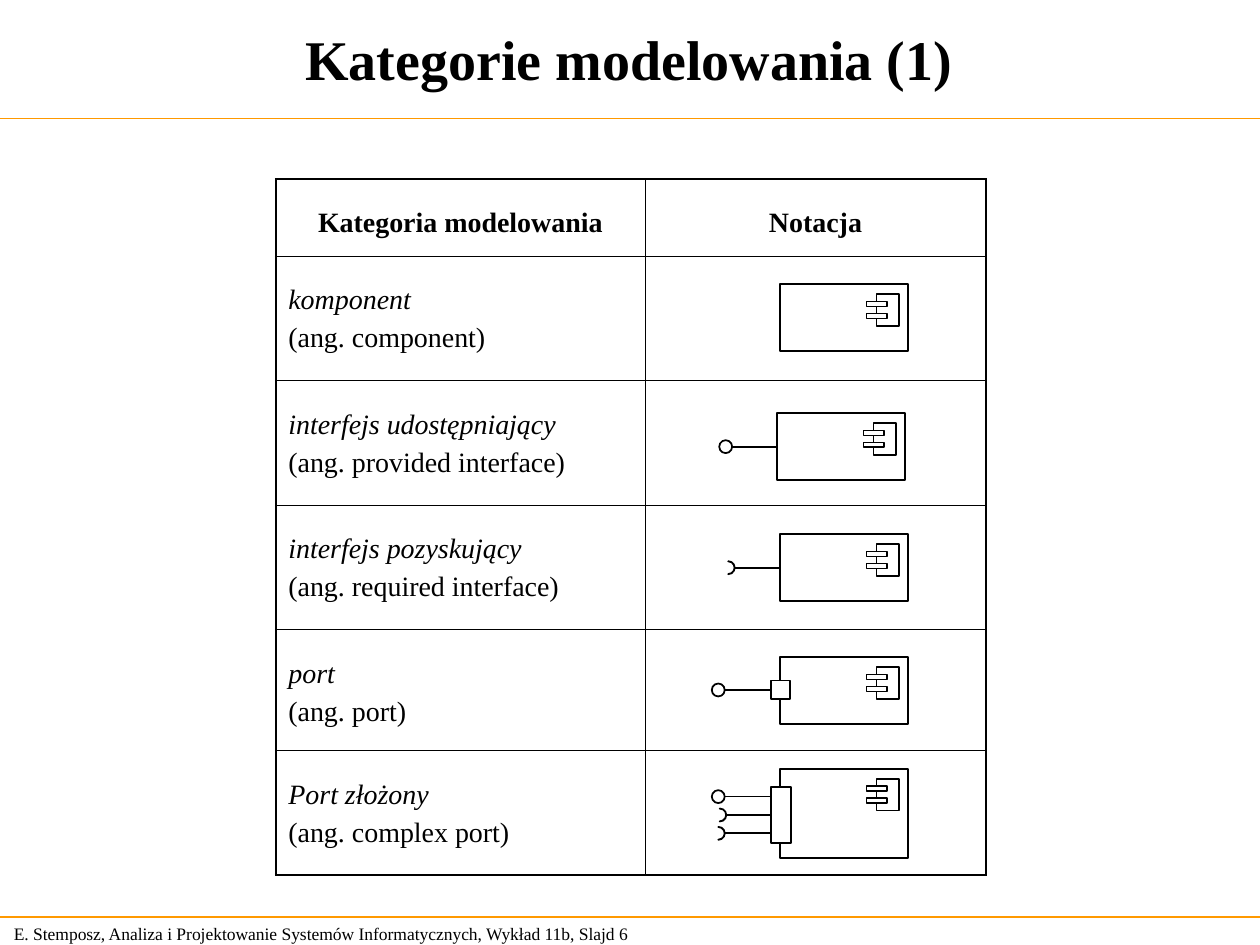
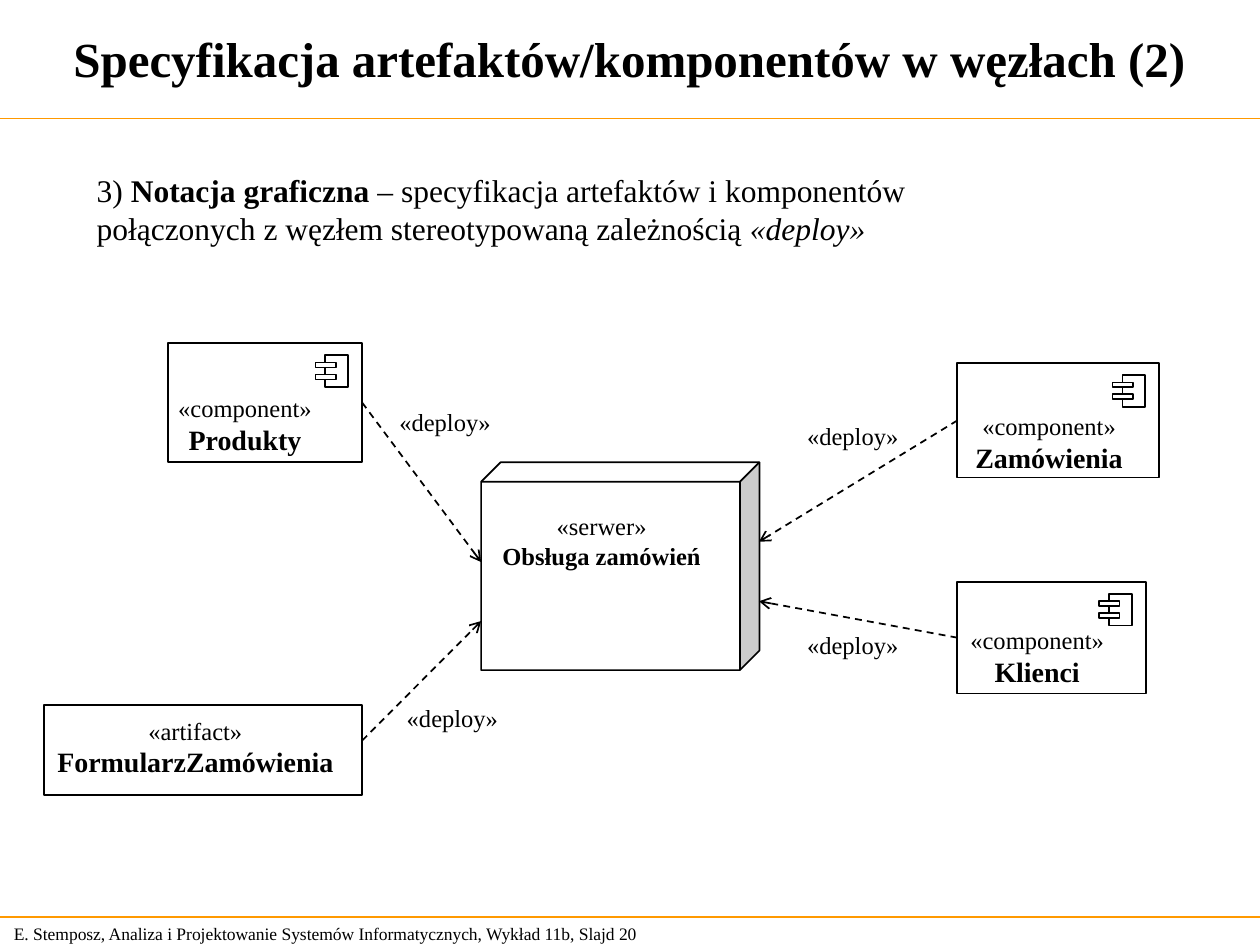
from lxml import etree
from pptx import Presentation
from pptx import util as u
from pptx.dml.color import RGBColor
from pptx.enum import dml, shapes, text
from pptx.oxml.ns import qn

# Shared look
FONT = "Times New Roman"
BLACK, WHITE, ORANGE, GREEN = "000000", "FFFFFF", "FF9900", "00CC99"
PAGE_WIDTH, PAGE_HEIGHT = 25.4, 19.05
RULES = (2.39, 18.48)
FOOTER = "E. Stemposz, Analiza i Projektowanie Systemów Informatycznych, Wykład 11b, Slajd {}"
THIN, THICK = 0.45, 1.08
KNOB = 0.26
SHAPE = shapes.MSO_SHAPE
CENTER = text.PP_ALIGN.CENTER

CATEGORIES = [
    ("komponent", "(ang. component)"),
    ("interfejs udostępniający", "(ang. provided interface)"),
    ("interfejs pozyskujący", "(ang. required interface)"),
    ("port", "(ang. port)"),
    ("Port złożony", "(ang. complex port)"),
]


def color(value):
    return RGBColor.from_string(value)


def style_font(font, size, bold=False, italic=False):
    font.name, font.size = FONT, u.Pt(size)
    font.bold, font.italic = bold, italic
    font.color.rgb = color(BLACK)


# Basic elements
def add_box(page, kind, left, top, width, height, fill=None):
    box = page.shapes.add_shape(kind, u.Cm(left), u.Cm(top), u.Cm(width), u.Cm(height))
    box.shadow.inherit = False
    if fill:
        box.fill.solid()
        box.fill.fore_color.rgb = color(fill)
    else:
        box.fill.background()
    box.line.color.rgb = color(BLACK)
    box.line.width = u.Pt(1)
    return box


def add_line(page, start, end, line_color=BLACK, dashed_arrow=False):
    line = page.shapes.add_connector(
        shapes.MSO_CONNECTOR.STRAIGHT, *(u.Cm(value) for value in (*start, *end)))
    line.line.color.rgb = color(line_color)
    line.line.width = u.Pt(1)
    properties = line._element.spPr
    if dashed_arrow:
        line.line.dash_style = dml.MSO_LINE.DASH
        etree.SubElement(properties.find(qn("a:ln")), qn("a:tailEnd"), type="arrow")
    etree.SubElement(properties, qn("a:effectLst"))
    return line


def add_text(page, left, top, width, height, paragraphs, align=None, wrap=False):
    """Each paragraph is a list of (text, size, bold, italic)."""
    box = page.shapes.add_textbox(u.Cm(left), u.Cm(top), u.Cm(width), u.Cm(height))
    frame = box.text_frame
    frame.word_wrap = wrap
    for index, spans in enumerate(paragraphs):
        para = frame.add_paragraph() if index else frame.paragraphs[0]
        para.alignment = align
        for wording, *look in spans:
            span = para.add_run()
            span.text = wording
            style_font(span.font, *look)
    return box


def add_page(deck, title, title_size, number):
    page = deck.slides.add_slide(deck.slide_layouts[5])
    for rule in RULES:
        add_line(page, (0, rule), (PAGE_WIDTH, rule), ORANGE)
    footer = add_text(page, 0.03, 18.48, 13.31, 0.69,
                      [[(FOOTER.format(number), 10)]], wrap=True)
    footer.text_frame.vertical_anchor = text.MSO_ANCHOR.MIDDLE
    heading = page.shapes.title
    heading.left, heading.top = u.Cm(0), u.Cm(0)
    heading.width, heading.height = u.Cm(25.37), u.Cm(2.34)
    frame = heading.text_frame
    frame.text = title
    frame.vertical_anchor = text.MSO_ANCHOR.MIDDLE
    frame.paragraphs[0].alignment = CENTER
    style_font(frame.paragraphs[0].runs[0].font, title_size, bold=True)
    return page


# Table of categories
def set_borders(cell, widths):
    properties = cell._tc.get_or_add_tcPr()
    for side, width in zip("LRTB", widths):
        border = etree.SubElement(properties, qn(f"a:ln{side}"), w=str(u.Pt(width)))
        fill = etree.SubElement(border, qn("a:solidFill"))
        etree.SubElement(fill, qn("a:srgbClr"), val=BLACK)


def fill_cell(cell, lines, align=None):
    """Each line is (text, bold, italic)."""
    cell.margin_top = u.Cm(0.58)
    frame = cell.text_frame
    for index, (wording, bold, italic) in enumerate(lines):
        para = frame.add_paragraph() if index else frame.paragraphs[0]
        para.text = wording
        para.alignment = align
        if index:
            para.space_before = u.Pt(4)
        style_font(para.runs[0].font, 16, bold, italic)


def add_category_table(page):
    widths, heights = (7.44, 6.88), (1.55, 2.51, 2.51, 2.51, 2.44, 2.51)
    table = page.shapes.add_table(
        len(heights), len(widths), u.Cm(5.56), u.Cm(3.61),
        u.Cm(sum(widths)), u.Cm(sum(heights))).table
    table.first_row = table.horz_banding = False
    for column, width in zip(table.columns, widths):
        column.width = u.Cm(width)
    for row, height in zip(table.rows, heights):
        row.height = u.Cm(height)
    last = len(heights) - 1
    for row in range(len(heights)):
        for column in range(len(widths)):
            cell = table.cell(row, column)
            outer = (column == 0, column == 1, row == 0, row == last)
            set_borders(cell, [THICK if edge else THIN for edge in outer])
            cell.fill.background()
    for column, heading in enumerate(("Kategoria modelowania", "Notacja")):
        fill_cell(table.cell(0, column), [(heading, True, False)], CENTER)
    for row, (name, english) in enumerate(CATEGORIES, 1):
        fill_cell(table.cell(row, 0), [(name, False, True), (english, False, False)])


# UML notation
def add_component(page, left, top, width=2.59, height=1.35, icon_right=0.64, icon_top=0.2):
    component = add_box(page, SHAPE.RECTANGLE, left, top, width, height)
    icon_left, icon_y = left + width - icon_right, top + icon_top
    add_box(page, SHAPE.RECTANGLE, icon_left, icon_y, 0.46, 0.64)
    for offset in (0.15, 0.39):
        add_box(page, SHAPE.RECTANGLE, icon_left - 0.2, icon_y + offset, 0.41, 0.1, WHITE)
    return component


def add_interface(page, left, target, required=False, offset=0):
    """Draw a ball or socket whose stem meets the left side of the target."""
    middle = (target.top + target.height / 2) / u.Cm(1) + offset
    line = add_line(page, (left + KNOB, middle), (target.left / u.Cm(1), middle))
    if offset == 0:
        line.end_connect(target, 1)
    if required:
        socket = add_box(page, SHAPE.BLOCK_ARC, left, middle - KNOB / 2, KNOB, KNOB, GREEN)
        for index, value in enumerate((107.51, 0.49, 0.01)):
            socket.adjustments[index] = value
        socket.rotation = 90
    else:
        add_box(page, SHAPE.OVAL, left, middle - KNOB / 2, KNOB, KNOB)


def add_port(page, top, width, height):
    return add_box(page, SHAPE.RECTANGLE, 15.54, top, width, height, WHITE)


def add_caption(page, left, top, width, stereotype, name, name_size=16):
    add_text(page, left, top, width, 1.52,
             [[(stereotype, 14)], [(name, name_size, True)]], CENTER)


def add_deploy(page, start, end, label, source=None):
    arrow = add_line(page, start, end, dashed_arrow=True)
    if source:
        box, side = source
        arrow.begin_connect(box, side)
    add_text(page, *label, 3, 0.86, [[("«deploy»", 14)]], text.PP_ALIGN.LEFT)


# Slides
def build_categories(deck):
    page = add_page(deck, "Kategorie modelowania (1)", 32, 6)
    add_category_table(page)

    add_component(page, 15.72, 5.73)
    add_interface(page, 14.5, add_component(page, 15.66, 8.33))
    add_interface(page, 14.55, add_component(page, 15.72, 10.77), required=True)

    add_component(page, 15.72, 13.25)
    add_interface(page, 14.35, add_port(page, 13.72, 0.38, 0.38))

    add_component(page, 15.72, 15.5, height=1.8)
    complex_port = add_port(page, 15.86, 0.41, 1.14)
    add_interface(page, 14.35, complex_port, offset=-0.37)
    add_interface(page, 14.38, complex_port, required=True)
    add_interface(page, 14.35, complex_port, required=True, offset=0.37)


def build_deployment(deck):
    page = add_page(deck, "Specyfikacja artefaktów/komponentów w węzłach (2)", 28, 20)
    add_text(page, 1.7, 3.33, 19.99, 1.78, [[
        ("3) ", 18),
        ("Notacja graficzna", 18, True),
        (" – specyfikacja artefaktów i komponentów połączonych z węzłem"
         " stereotypowaną zależnością ", 18),
        ("«deploy»", 18, False, True),
    ]], wrap=True)

    # Server node
    server = add_box(page, SHAPE.CUBE, 9.7, 9.32, 5.61, 4.19, WHITE)
    server.adjustments[0] = 0.094
    add_caption(page, 9.63, 10.18, 5, "«serwer»", "Obsługa zamówień", 14)

    # Deployed components and artifact
    icon = {"icon_right": 0.74, "icon_top": 0.24}
    products = add_component(page, 3.39, 6.92, 3.91, 2.39, **icon)
    add_caption(page, 3.14, 7.8, 3.6, "«component»", "Produkty")
    orders = add_component(page, 19.3, 7.32, 4.07, 2.31, **icon)
    add_caption(page, 19.15, 8.16, 4, "«component»", "Zamówienia")
    clients = add_component(page, 19.3, 11.73, 3.8, 2.25, **icon)
    add_caption(page, 19.11, 12.47, 3.6, "«component»", "Klienci")
    add_box(page, SHAPE.RECTANGLE, 0.89, 14.22, 6.41, 1.81)
    add_caption(page, 0.69, 14.3, 6.5, "«artifact»", "FormularzZamówienia")

    # Dependencies
    add_deploy(page, (7.3, 8.12), (9.7, 11.33), (7.8, 8.08), (products, 3))
    add_deploy(page, (7.3, 14.93), (9.7, 12.52), (7.95, 14.05))
    add_deploy(page, (19.3, 8.48), (15.3, 10.92), (16.02, 8.36), (orders, 1))
    add_deploy(page, (19.3, 12.86), (15.3, 12.12), (16.02, 12.57), (clients, 1))


def main():
    deck = Presentation()
    deck.slide_width, deck.slide_height = u.Cm(PAGE_WIDTH), u.Cm(PAGE_HEIGHT)
    build_categories(deck)
    build_deployment(deck)
    deck.save("out.pptx")


if __name__ == "__main__":
    main()
